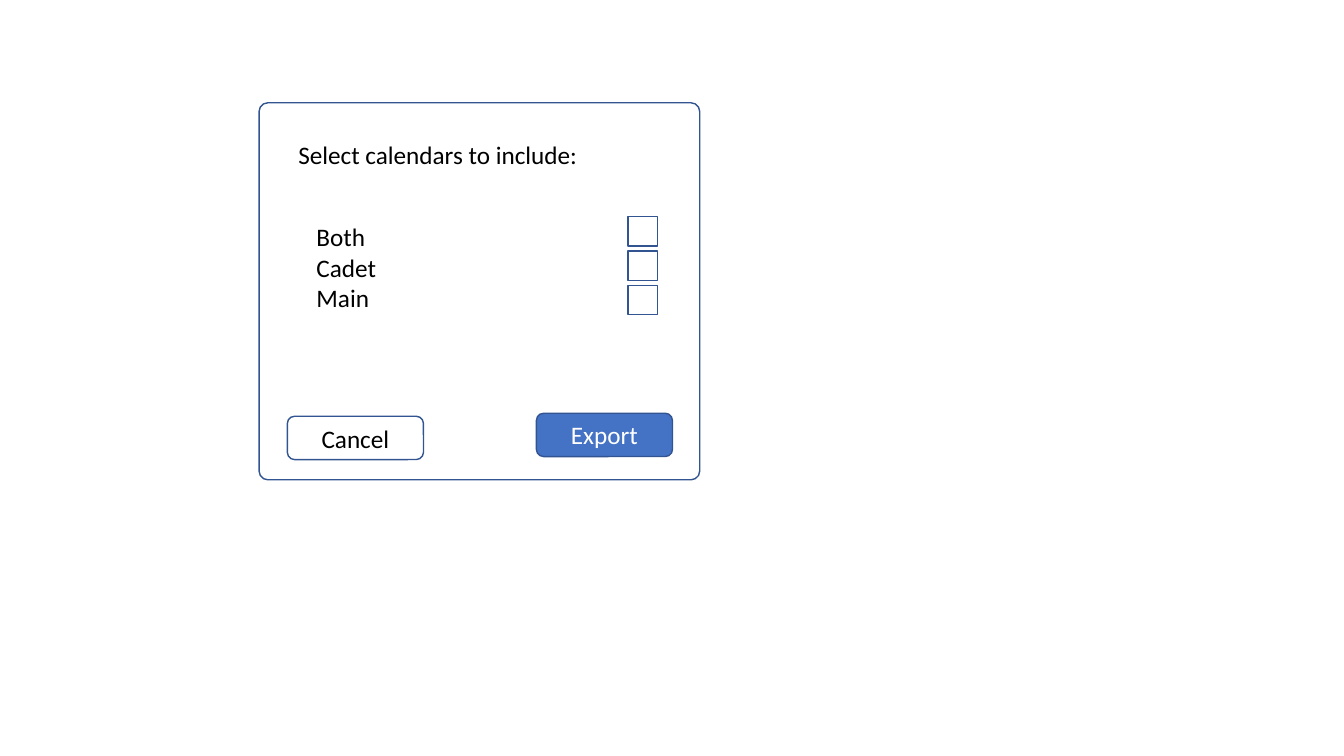
from pptx import Presentation
from pptx.dml.color import RGBColor
from pptx.enum.shapes import MSO_SHAPE
from pptx.enum.text import MSO_ANCHOR, MSO_AUTO_SIZE, PP_ALIGN
from pptx.util import Inches, Pt


def color(value):
    return RGBColor.from_string(value)


class DialogSlide:
    FONT = "Calibri"
    SIZE = Pt(18)
    BLACK = "000000"
    WHITE = "FFFFFF"
    BLUE = "4472C4"
    OUTLINE = "325491"

    def __init__(self, presentation):
        self.slide = presentation.slides.add_slide(presentation.slide_layouts[6])

    def set_text(self, text_frame, lines, text_color, alignment=PP_ALIGN.LEFT):
        """Fill a text frame with one paragraph per line."""
        text_frame.text = "\n".join(lines)
        for paragraph in text_frame.paragraphs:
            paragraph.alignment = alignment
            paragraph.font.name = self.FONT
            paragraph.font.size = self.SIZE
            paragraph.font.color.rgb = color(text_color)

    def outlined(self, kind, left, top, width, height, fill=None):
        """Add a preset shape with the common outline and an optional fill."""
        shape = self.slide.shapes.add_shape(
            kind, Inches(left), Inches(top), Inches(width), Inches(height))
        shape.shadow.inherit = False
        shape.line.color.rgb = color(self.OUTLINE)
        shape.line.width = Pt(1)
        if fill:
            shape.fill.solid()
            shape.fill.fore_color.rgb = color(fill)
        else:
            shape.fill.background()
        return shape

    def panel(self, left, top, width, height):
        shape = self.outlined(MSO_SHAPE.ROUNDED_RECTANGLE, left, top, width, height)
        shape.adjustments[0] = 0.023

    def label(self, lines, left, top, width, height):
        box = self.slide.shapes.add_textbox(
            Inches(left), Inches(top), Inches(width), Inches(height))
        box.text_frame.word_wrap = True
        box.text_frame.auto_size = MSO_AUTO_SIZE.SHAPE_TO_FIT_TEXT
        self.set_text(box.text_frame, lines, self.BLACK)

    def checkbox(self, left, top):
        self.outlined(MSO_SHAPE.RECTANGLE, left, top, 0.29, 0.29)

    def button(self, caption, left, top, text_color, fill=None):
        shape = self.outlined(MSO_SHAPE.ROUNDED_RECTANGLE, left, top, 1.35, 0.43, fill)
        shape.text_frame.vertical_anchor = MSO_ANCHOR.MIDDLE
        self.set_text(shape.text_frame, [caption], text_color, PP_ALIGN.CENTER)


def main():
    presentation = Presentation()
    presentation.slide_width = Inches(13.33)
    presentation.slide_height = Inches(7.5)

    dialog = DialogSlide(presentation)
    dialog.panel(2.57, 1.02, 4.37, 3.74)
    dialog.label(["Select calendars to include:"], 2.86, 1.33, 3.11, 0.4)

    calendars = ["Both", "Cadet", "Main"]
    dialog.label(calendars, 3.04, 2.15, 2.62, 1.01)
    for row in range(len(calendars)):
        dialog.checkbox(6.23, 2.15 + 0.34 * row)

    dialog.button("Export", 5.32, 4.1, dialog.WHITE, dialog.BLUE)
    dialog.button("Cancel", 2.85, 4.13, dialog.BLACK)

    presentation.save("out.pptx")


if __name__ == "__main__":
    main()
